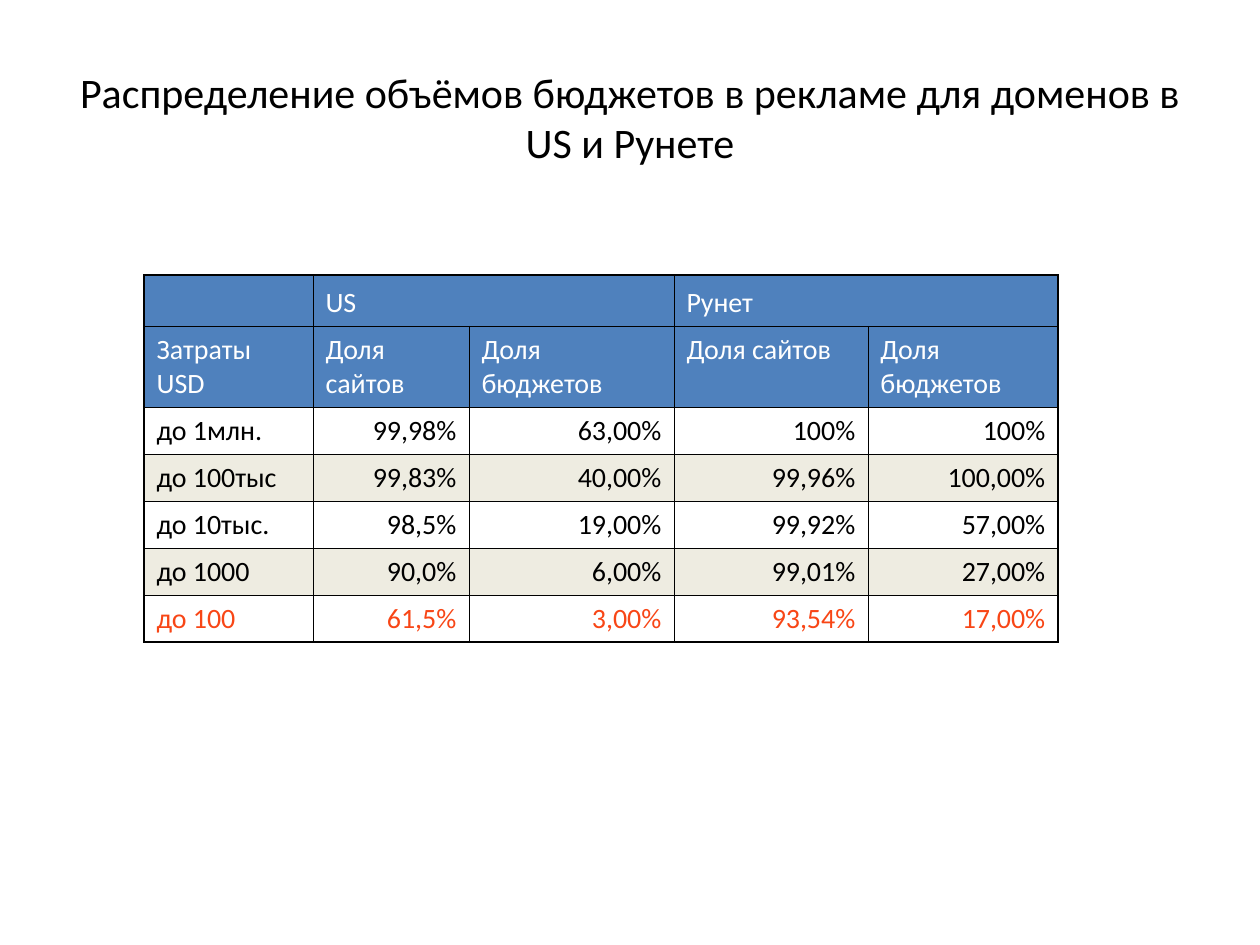
from lxml.etree import SubElement as Sub
from pptx import Presentation
from pptx.dml.color import RGBColor as RGB
from pptx.enum.text import MSO_ANCHOR as Anchor, MSO_AUTO_SIZE as Fit, PP_ALIGN as Align
from pptx.oxml.ns import qn
from pptx.util import Inches, Pt

PX = Inches(1) / 126
FONT = "Calibri"
BLACK = RGB(0x00, 0x00, 0x00)
WHITE = RGB(0xFF, 0xFF, 0xFF)
BLUE = RGB(0x4F, 0x81, 0xBD)
SAND = RGB(0xEE, 0xEC, 0xE1)
RED = RGB(0xF8, 0x46, 0x16)
THIN, THICK = Pt(0.45), Pt(1.08)

TITLE = "Распределение объёмов бюджетов в рекламе для доменов в US и Рунете"
COLS = [169, 156, 205, 194, 190]
HIGH = [47, 81] + [47] * 5
ROWS = [
    ["", "US", "", "Рунет", ""],
    ["Затраты USD", "Доля сайтов", "Доля бюджетов", "Доля сайтов", "Доля бюджетов"],
    ["до 1млн.", "99,98%", "63,00%", "100%", "100%"],
    ["до 100тыс", "99,83%", "40,00%", "99,96%", "100,00%"],
    ["до 10тыс.", "98,5%", "19,00%", "99,92%", "57,00%"],
    ["до 1000", "90,0%", "6,00%", "99,01%", "27,00%"],
    ["до 100", "61,5%", "3,00%", "93,54%", "17,00%"],
]


def px(num):
    """Turn px into EMU."""
    return round(num * PX)


def place(shape, box):
    """Move a shape to a box in px."""
    shape.left, shape.top, shape.width, shape.height = map(px, box)


def write(para, text, size, color):
    """Add one run to a paragraph."""
    run = para.add_run()
    run.text = text
    run.font.name, run.font.size = FONT, Pt(size)
    run.font.color.rgb = color


def edge(cell, side, width):
    """Draw one black border of a cell."""
    line = Sub(cell._tc.get_or_add_tcPr(), qn(f"a:ln{side}"), w=str(int(width)))
    Sub(Sub(line, qn("a:solidFill")), qn("a:srgbClr"), val=str(BLACK))


def add_title(slide, box):
    """Fill the title placeholder."""
    title = slide.shapes.title
    place(title, box)
    frame = title.text_frame
    frame.auto_size, frame.vertical_anchor = Fit.NONE, Anchor.MIDDLE
    para = frame.paragraphs[0]
    para.alignment = Align.CENTER
    write(para, TITLE, 24, BLACK)


def style(cell, row, col, text):
    """Give a cell its borders, fill and text."""
    end_row, end_col = len(ROWS) - 1, len(COLS) - 1
    last = col + max(cell.span_width, 1) - 1
    outer = {"L": col == 0, "R": last == end_col, "T": row == 0, "B": row == end_row}
    for side, rim in outer.items():
        edge(cell, side, THICK if rim else THIN)
    head = row < 2
    cell.fill.solid()
    cell.fill.fore_color.rgb = BLUE if head else SAND if row % 2 else WHITE
    if not text:
        return
    cell.vertical_anchor = Anchor.TOP if row == 1 else Anchor.BOTTOM
    para = cell.text_frame.paragraphs[0]
    if row == 1 or col == 0:
        para.space_before = Pt(4)
    if not head and col:
        para.alignment = Align.RIGHT
    write(para, text, 16, WHITE if head else RED if row == end_row else BLACK)


def add_grid(slide, left, top):
    """Build the budget table from its top left corner."""
    box = map(px, (left, top, sum(COLS), sum(HIGH)))
    grid = slide.shapes.add_table(len(ROWS), len(COLS), *box).table
    grid.first_row = grid.horz_banding = False
    for col, width in zip(grid.columns, COLS):
        col.width = px(width)
    for row, high in zip(grid.rows, HIGH):
        row.height = px(high)
    for col in (1, 3):
        grid.cell(0, col).merge(grid.cell(0, col + 1))
    for row, texts in enumerate(ROWS):
        for col, text in enumerate(texts):
            style(grid.cell(row, col), row, col, text)


def main():
    """Make the slide and save it."""
    deck = Presentation()
    deck.slide_width, deck.slide_height = px(1260), px(945)
    slide = deck.slides.add_slide(deck.slide_layouts[5])
    add_title(slide, (63, 38, 1134, 157))
    add_grid(slide, 144, 275)
    deck.save("out.pptx")


if __name__ == "__main__":
    main()
